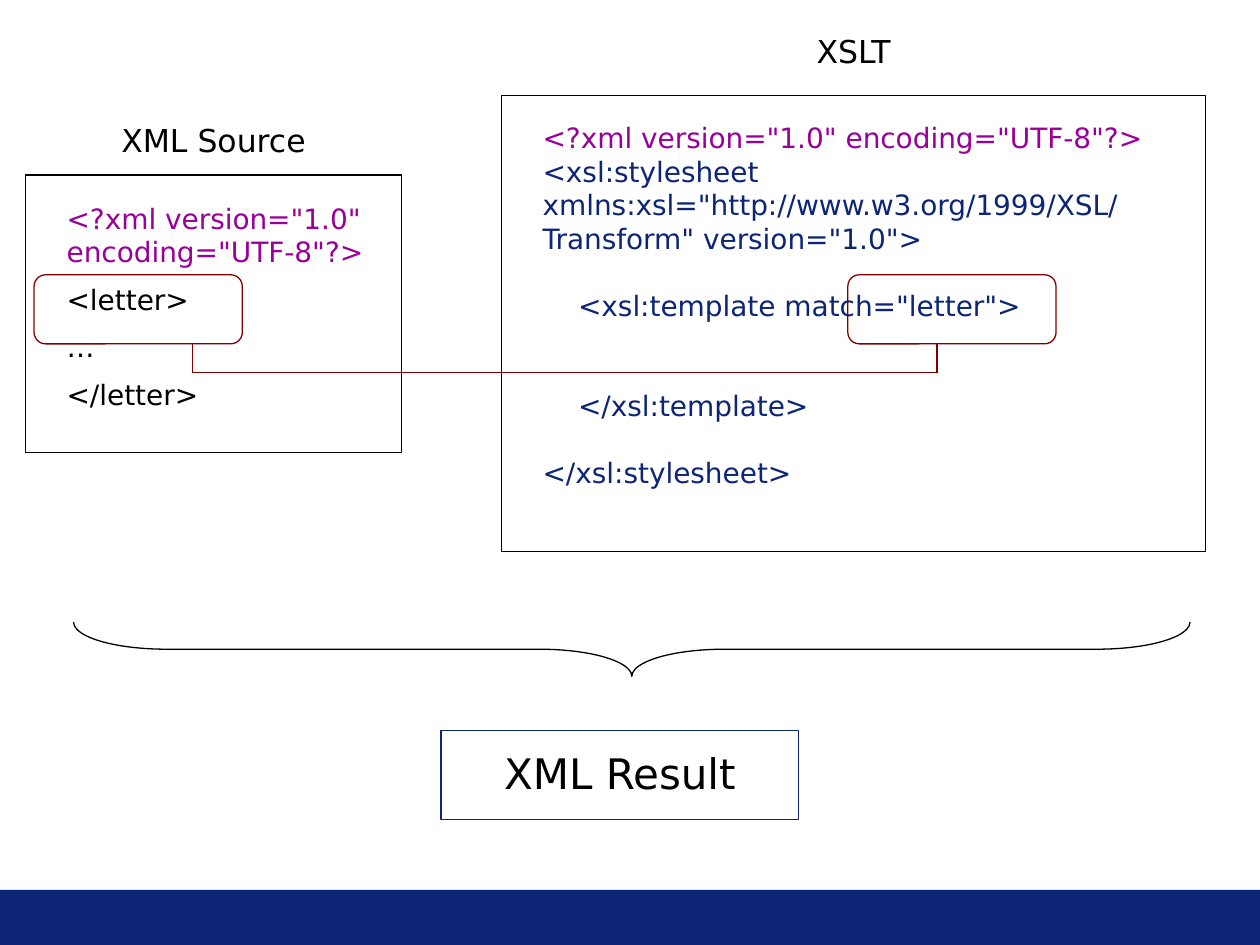
from dataclasses import dataclass

from pptx import Presentation
from pptx.dml.color import RGBColor
from pptx.enum.shapes import MSO_CONNECTOR, MSO_SHAPE
from pptx.enum.text import PP_ALIGN
from pptx.oxml.ns import qn
from pptx.util import Pt
from lxml import etree

RECT, ROUNDED = MSO_SHAPE.RECTANGLE, MSO_SHAPE.ROUNDED_RECTANGLE
BRACE = MSO_SHAPE.RIGHT_BRACE
STRAIGHT = MSO_CONNECTOR.STRAIGHT
LEFT, CENTER = PP_ALIGN.LEFT, PP_ALIGN.CENTER


@dataclass(frozen=True)
class Theme:
    font: str = "DejaVu Sans"
    black: str = "000000"
    white: str = "FFFFFF"
    navy: str = "0C2577"
    purple: str = "990099"
    maroon: str = "800000"
    code: int = 16
    caption: int = 18
    result: int = 24
    line: float = 0.75


T = Theme()
CODE_LINE = 19  # height of one empty code line
GAP = 8  # space between the lines of the source document
DECLARATION = '<?xml version="1.0" encoding="UTF-8"?>'

# Paragraphs: (text, colour, space before)
XSLT_CODE = [
    (DECLARATION, T.purple, 0),
    ('<xsl:stylesheet xmlns:xsl="http://www.w3.org/1999/XSL/\v'
     'Transform" version="1.0">', T.navy, 0),
    ('    <xsl:template match="letter">', T.navy, CODE_LINE),
    ("    </xsl:template>", T.navy, 2 * CODE_LINE),
    ("</xsl:stylesheet>", T.navy, CODE_LINE),
]
SOURCE_CODE = [
    (DECLARATION, T.purple, 0),
    ("<letter>", T.black, GAP),
    ("…", T.black, GAP),
    ("</letter>", T.black, GAP),
]

# Each panel: frame (left, top, width, height), code area, code,
# caption, caption top
PANELS = [
    ((286.5, 54.5, 402.5, 260.5), (303, 65.5, 386, 219), XSLT_CODE,
     "XSLT", 15),
    ((14.5, 100, 215, 158.5), (31, 111.5, 204.5, 132.5), SOURCE_CODE,
     "XML Source", 65.5),
]
CAPTION_HEIGHT = 29
# Matching parts: (left of the mark, x of its link line)
MATCHES = [(19.5, 110), (484.5, 535.5)]
MARK_TOP, MARK_WIDTH, MARK_HEIGHT = 157, 119, 39.5
LINK_Y = 213
BRACE_AREA = (345.5, 52, 31, 638)
RESULT_AREA = (252, 417.5, 204.5, 51)
RESULT_TEXT_AREA = (252, 423.5, 204.5, 36)
FOOTER_AREA = (0, 508.5, 720, 31.5)


def points(values):
    return [Pt(v) for v in values]


def add_shape(s, kind, area, fill=None, line=None):
    sp = s.shapes.add_shape(kind, *points(area))
    sp.shadow.inherit = False
    if fill:
        sp.fill.solid()
        sp.fill.fore_color.rgb = RGBColor.from_string(fill)
    else:
        sp.fill.background()
    if line:
        sp.line.color.rgb = RGBColor.from_string(line)
        sp.line.width = Pt(T.line)
    else:
        sp.line.fill.background()
    return sp


def add_text(s, area, paragraphs, size, align=LEFT):
    tf = s.shapes.add_textbox(*points(area)).text_frame
    tf.word_wrap = True
    for i, (text, color, before) in enumerate(paragraphs):
        p = tf.add_paragraph() if i else tf.paragraphs[0]
        p.text = text
        p.alignment = align
        p.space_before = Pt(before)
        p.font.name = T.font
        p.font.size = Pt(size)
        p.font.color.rgb = RGBColor.from_string(color)


def add_line(s, *ends):
    line = s.shapes.add_connector(STRAIGHT, *points(ends))
    line.line.color.rgb = RGBColor.from_string(T.maroon)
    line.line.width = Pt(T.line)
    etree.SubElement(line._element.spPr, qn("a:effectLst"))


def main():
    prs = Presentation()
    prs.slide_width, prs.slide_height = Pt(720), Pt(540)
    s = prs.slides.add_slide(prs.slide_layouts[6])

    add_shape(s, RECT, FOOTER_AREA, fill=T.navy)

    for frame, code_area, code, caption, caption_top in PANELS:
        add_shape(s, RECT, frame, T.white, T.black)
        add_text(s, code_area, code, T.code)
        add_text(s, (frame[0], caption_top, frame[2], CAPTION_HEIGHT),
                 [(caption, T.black, 0)], T.caption, CENTER)

    brace = add_shape(s, BRACE, BRACE_AREA, line=T.black)
    brace.rotation = 90
    brace.adjustments[0] = 1.71

    for left, x in MATCHES:
        add_shape(s, ROUNDED, (left, MARK_TOP, MARK_WIDTH, MARK_HEIGHT),
                  line=T.maroon)
        add_line(s, x, LINK_Y, x, MARK_TOP + MARK_HEIGHT)
    add_line(s, MATCHES[0][1], LINK_Y, MATCHES[1][1], LINK_Y)

    add_shape(s, RECT, RESULT_AREA, T.white, T.navy)
    add_text(s, RESULT_TEXT_AREA, [("XML Result", T.black, 0)], T.result,
             CENTER)

    prs.save("out.pptx")


if __name__ == "__main__":
    main()
